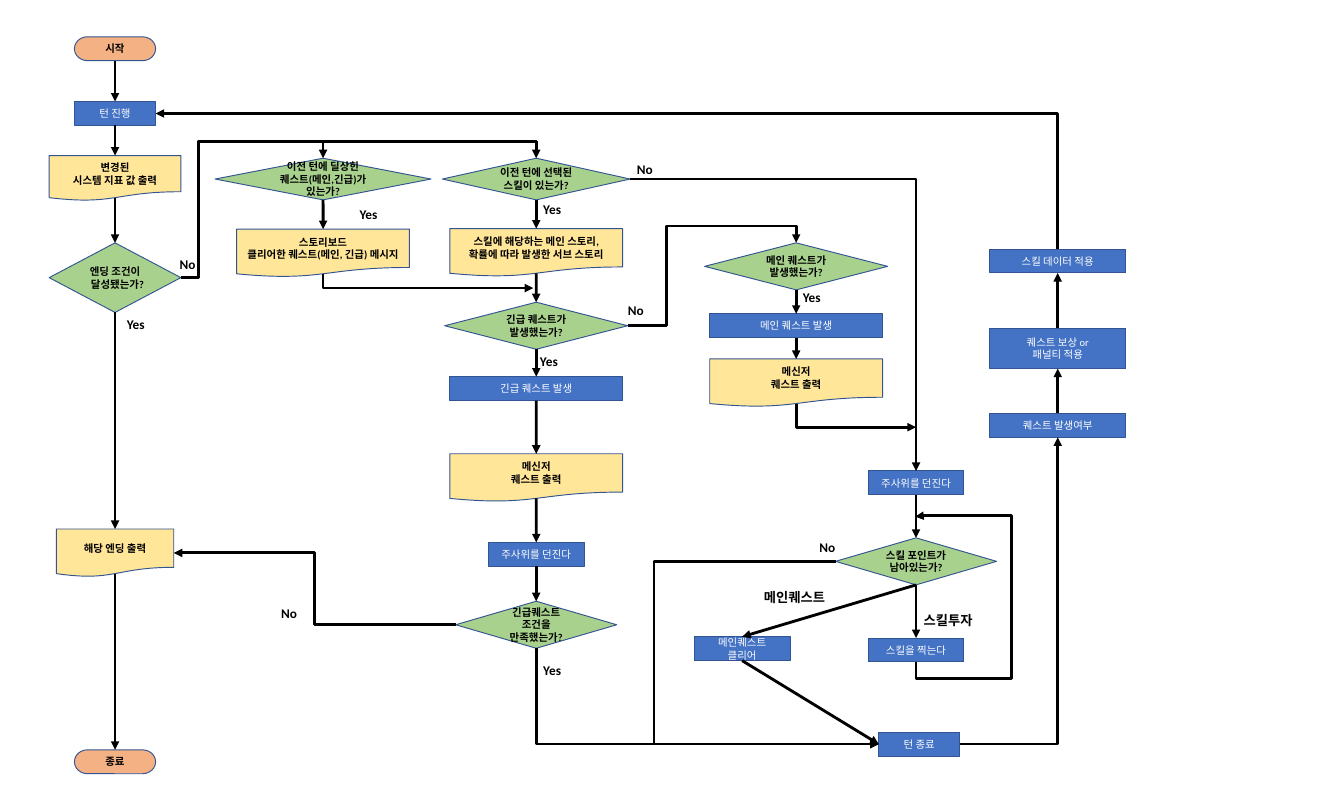
"""Build the turn and quest flowchart of a game on one slide."""
from lxml import etree
from pptx import Presentation
from pptx import util as u
from pptx.dml.color import RGBColor
from pptx.enum import shapes, text
from pptx.oxml.ns import qn

BLACK = RGBColor(0, 0, 0)
WHITE = RGBColor(255, 255, 255)
EDGE = RGBColor(0x32, 0x54, 0x91)
ORANGE = RGBColor(0xF4, 0xB1, 0x83)
GREEN = RGBColor(0xA9, 0xD1, 0x8E)
YELLOW = RGBColor(0xFF, 0xE6, 0x99)
BLUE = RGBColor(0x44, 0x72, 0xC4)
KIND = shapes.MSO_SHAPE
TOP, LEFT, BOTTOM, RIGHT = range(4)


def write(frame, content, size=11, bold=True, color=BLACK, align=None, font="Calibri"):
    """Fill a text frame, one paragraph for each line."""
    frame.word_wrap = True
    frame.text = content
    for paragraph in frame.paragraphs:
        paragraph.alignment = align
        style = paragraph.runs[0].font
        style.name, style.size, style.bold = font, u.Pt(size), bold
        style.color.rgb = color


class Flowchart:
    """Style and current slide of the flowchart."""

    def __init__(self, slide):
        self.items = slide.shapes

    def node(self, kind, fill, content, center, top, width, height, **form):
        """Add a filled box centred on a column."""
        box = self.items.add_shape(kind, u.Cm(center - width / 2), u.Cm(top), u.Cm(width), u.Cm(height))
        box.shadow.inherit = False
        box.fill.solid()
        box.fill.fore_color.rgb = fill
        box.line.color.rgb = EDGE
        box.line.width = u.Pt(1)
        box.text_frame.vertical_anchor = text.MSO_ANCHOR.MIDDLE
        write(box.text_frame, content, align=text.PP_ALIGN.CENTER, **form)
        return box

    def terminator(self, content, center, top):
        """Add a start or end node."""
        return self.node(KIND.FLOWCHART_TERMINATOR, ORANGE, content, center, top, 3.02, 0.89)

    def process(self, content, center, top, width=3.56, height=0.89):
        """Add a step."""
        return self.node(KIND.FLOWCHART_PROCESS, BLUE, content, center, top, width, height,
                         bold=False, color=WHITE)

    def decision(self, content, center, top, width, height=1.75):
        """Add a question."""
        return self.node(KIND.FLOWCHART_DECISION, GREEN, content, center, top, width, height)

    def document(self, content, center, top, width=6.43, height=1.78):
        """Add an output."""
        return self.node(KIND.FLOWCHART_DOCUMENT, YELLOW, content, center, top, width, height)

    def label(self, content, left, top, width=1.57):
        """Add a branch label."""
        box = self.items.add_textbox(u.Cm(left), u.Cm(top), u.Cm(width), u.Cm(0.86))
        write(box.text_frame, content, size=14)

    def anchor(self, box, side):
        """Return the point where a link meets a side of a box."""
        wave = box.auto_shape_type == KIND.FLOWCHART_DOCUMENT
        across = {LEFT: 0, RIGHT: 1}.get(side, 0.5)
        down = {TOP: 0, BOTTOM: 0.934 if wave else 1}.get(side, 0.5)
        return box.left + across * box.width, box.top + down * box.height

    def link(self, source, side, target, target_side=TOP, bends=None):
        """Join two nodes by an arrow; bends hold the turning x and y in order."""
        straight = bends is None
        kind = shapes.MSO_CONNECTOR.STRAIGHT if straight else shapes.MSO_CONNECTOR.ELBOW
        arrow = self.items.add_connector(kind, 0, 0, 0, 0)
        arrow.begin_connect(source, side)
        begin = self.anchor(source, side)
        if isinstance(target, tuple):
            end = [u.Cm(value) for value in target]
        else:
            arrow.end_connect(target, target_side)
            end = self.anchor(target, target_side)
        turn = 0 if straight else {RIGHT: 0, LEFT: 180, TOP: 270, BOTTOM: 90 if bends else 270}[side]
        upright = turn in (90, 270)
        dx, dy = end[0] - begin[0], end[1] - begin[1]
        along, across = (dy, -dx) if upright else (dx, dy)
        sign = 1 if turn < 180 else -1
        arrow.width, arrow.height = int(abs(along)), int(abs(across))
        arrow.left = int((begin[0] + end[0] - abs(along)) / 2)
        arrow.top = int((begin[1] + end[1] - abs(across)) / 2)
        props = arrow.element.spPr
        frame = props.find(qn("a:xfrm"))
        frame.set("rot", str(turn * 60000))
        frame.set("flipH", str(int(sign * along < 0)))
        frame.set("flipV", str(int(sign * across < 0)))
        if not straight:
            shape = props.find(qn("a:prstGeom"))
            shape.set("prst", f"bentConnector{len(bends) + 2}")
            guides = shape.find(qn("a:avLst"))
            for step, bend in enumerate(bends):
                axis = (step + upright) % 2
                ratio = (u.Cm(bend) - begin[axis]) / (end[axis] - begin[axis])
                etree.SubElement(guides, qn("a:gd"), name=f"adj{step + 1}" if len(bends) > 1 else "adj1",
                                 fmla=f"val {round(ratio * 100000)}")
        arrow.line.color.rgb = BLACK
        arrow.line.width = u.Pt(3)
        etree.SubElement(props.find(qn("a:ln")), qn("a:tailEnd"), type="triangle")
        etree.SubElement(props, qn("a:effectLst"))

    def chain(self, *nodes, up=False):
        """Join nodes of one column in order."""
        for source, target in zip(nodes, nodes[1:]):
            self.link(source, TOP if up else BOTTOM, target, BOTTOM if up else TOP)


deck = Presentation()
deck.slide_width, deck.slide_height = u.Cm(50), u.Cm(30)
chart = Flowchart(deck.slides.add_slide(deck.slide_layouts[6]))

ENDING, CLEARED, URGENT, MAIN, SKILL, REWARD = 4.28, 12.02, 19.95, 29.62, 34.08, 39.35

start = chart.terminator("시작", ENDING, 1.37)
turn_start = chart.process("턴 진행", ENDING, 3.78, 3.02)
indicators = chart.document("변경된\n시스템 지표 값 출력", ENDING, 5.79, 4.9, 1.68)
ending_met = chart.decision("엔딩 조건이 달성됐는가?", ENDING, 9.04, 4.9, 2.59)
ending = chart.document("해당 엔딩 출력", ENDING, 19.69, 4.37)
finish = chart.terminator("종료", ENDING, 27.91)

quest_cleared = chart.decision("이전 턴에 딜상힌 퀘스트(메인,긴급)가 있는가?", CLEARED, 5.89, 8.03, 1.55)
storyboard = chart.document("스토리보드\n클리어한 퀘스트(메인, 긴급) 메시지", CLEARED, 8.53)

skill_chosen = chart.decision("이전 턴에 선택된\n스킬이 있는가?", URGENT, 5.89, 6.98, 1.55)
stories = chart.document("스킬에 해당하는 메인 스토리,\n확률에 따라 발생한 서브 스토리", URGENT, 8.51)
urgent_raised = chart.decision("긴급 퀘스트가\n발생했는가?", URGENT, 11.25, 6.81)
urgent_quest = chart.process("긴급 퀘스트 발생", URGENT, 14.02, 6.45)
urgent_message = chart.document("메신저\n퀘스트 출력", URGENT, 16.89)
urgent_dice = chart.process("주사위를 던진다", URGENT, 20.19)
urgent_met = chart.decision("긴급퀘스트 조건을 만족했는가?", URGENT, 22.38, 5.99)

main_raised = chart.decision("메인 퀘스트가\n발생했는가?", MAIN, 9.04, 6.81)
main_quest = chart.process("메인 퀘스트 발생", MAIN, 11.68, 6.45)
main_message = chart.document("메신저\n퀘스트 출력", MAIN, 13.36)
main_clear = chart.process("메인퀘스트\n클리어", 27.61, 23.7)

dice = chart.process("주사위를 던진다", SKILL, 17.53)
points_left = chart.decision("스킬 포인트가 남아있는가?", SKILL, 20.02, 5.99)
take_skill = chart.process("스킬을 찍는다", SKILL, 23.75)
turn_end = chart.process("턴 종료", 34.2, 27.25, 3.02)

quest_check = chart.process("퀘스트 발생여부", REWARD, 15.39, 5.05)
reward = chart.process("퀘스트 보상 or\n패널티 적용", REWARD, 12.22, 5.05, 1.5)
skill_data = chart.process("스킬 데이터 적용", REWARD, 9.27, 5.05)

chart.chain(start, turn_start, indicators, ending_met, ending, finish)
chart.chain(quest_cleared, storyboard)
chart.chain(skill_chosen, stories, urgent_raised, urgent_quest, urgent_message, urgent_dice, urgent_met)
chart.chain(main_raised, main_quest, main_message)
chart.chain(dice, points_left, take_skill)
chart.chain(points_left, main_clear)
chart.chain(quest_check, reward, skill_data, up=True)
chart.link(main_clear, BOTTOM, turn_end, LEFT)

for question in (quest_cleared, skill_chosen):
    chart.link(ending_met, RIGHT, question, bends=(7.39, 5.26))
chart.link(storyboard, BOTTOM, (19.84, 10.72), bends=())
chart.link(skill_chosen, RIGHT, dice, bends=())
chart.link(urgent_raised, RIGHT, main_raised, bends=(24.79, 8.41))
chart.link(main_message, BOTTOM, (SKILL, 15.9), bends=())
chart.link(urgent_met, LEFT, ending, RIGHT, bends=(11.71,))
chart.link(urgent_met, BOTTOM, turn_end, LEFT, bends=())
chart.link(points_left, LEFT, turn_end, LEFT, bends=(24.33,))
chart.link(take_skill, BOTTOM, (34.05, 19.23), bends=(25.27, 37.62, 19.2))
chart.link(turn_end, RIGHT, quest_check, BOTTOM, bends=())
chart.link(skill_data, TOP, turn_start, RIGHT, bends=())

BRANCHES = {
    "Yes": [(4.47, 11.63), (19.96, 7.37), (19.84, 13.03), (29.62, 10.64), (19.96, 24.54), (13.13, 7.57)],
    "No": [(23.11, 11.13), (6.43, 9.4), (30.23, 19.94), (23.44, 5.89), (10.21, 22.4)],
}
for answer, places in BRANCHES.items():
    for place in places:
        chart.label(answer, *place)
chart.label("스킬투자", 34.11, 22.66, 3.05)
chart.label("메인퀘스트", 28.17, 21.79, 3.05)

deck.save("out.pptx")
